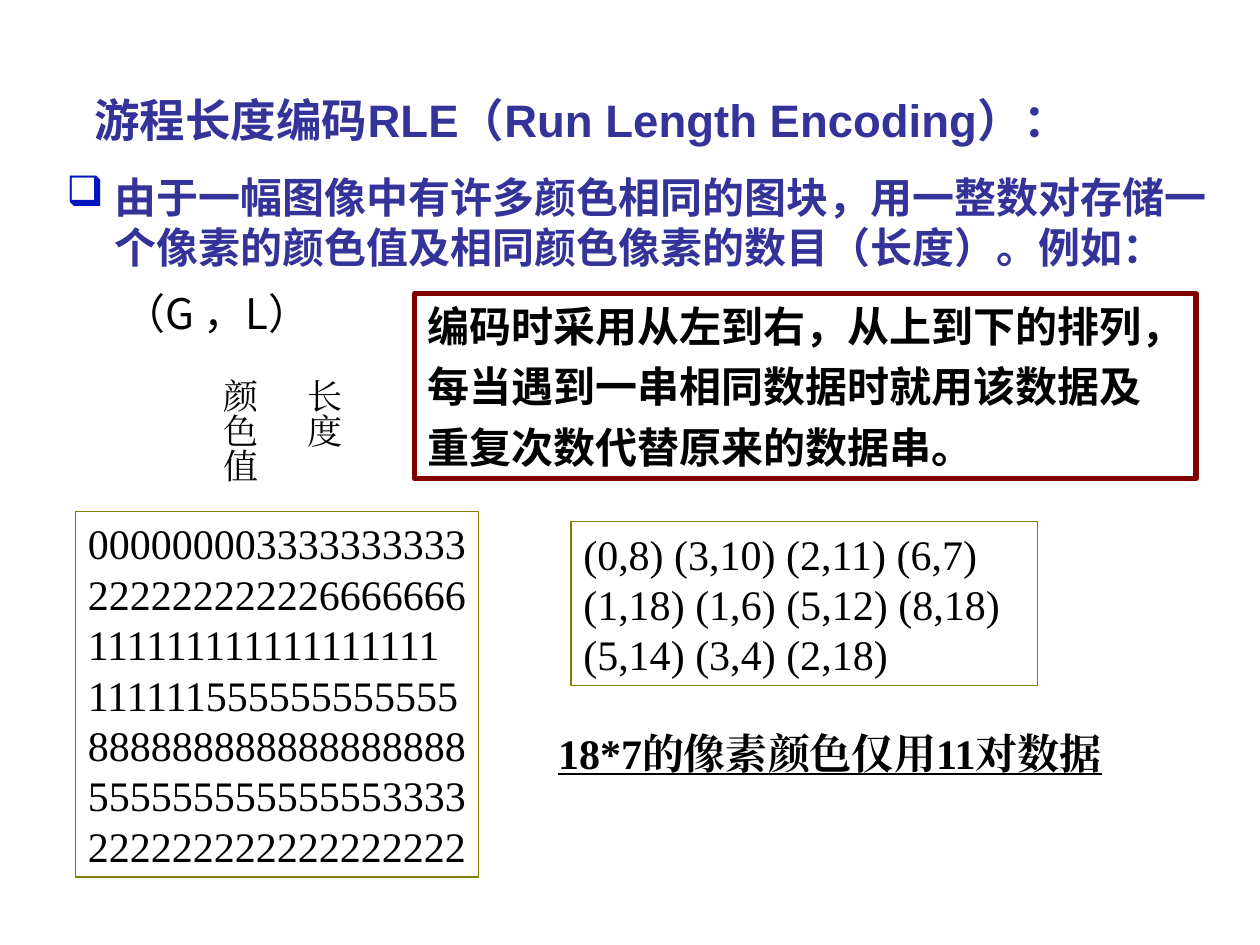
from lxml.etree import SubElement
from pptx import Presentation
from pptx.dml.color import RGBColor
from pptx.enum.shapes import MSO_SHAPE
from pptx.oxml.ns import qn
from pptx.util import Cm, Pt

NAVY, BLACK, OLIVE, MAROON = "333399", "000000", "808000", "800000"
SERIF = "Times New Roman"


def color(code):
    return RGBColor.from_string(code)


class Page:
    def __init__(self, slide, size=24, face=SERIF):
        self.slide, self.size, self.face = slide, size, face

    def style(self, para, ink=BLACK, bold=False, face=None, size=None, line=False):
        """Set the font of a paragraph and the East Asian face of its runs."""
        font = para.font
        font.name, font.size = face or self.face, Pt(size or self.size)
        font.bold, font.underline = bold, line
        font.color.rgb = color(ink)
        for run in para.runs:
            props = run._r.get_or_add_rPr()
            SubElement(props, qn("a:ea"), typeface=font.name)

    def fill(self, shape, lines, gap=0, wrap=False, **look):
        """Write one paragraph per line of text."""
        frame = shape.text_frame
        frame.word_wrap = wrap
        frame.margin_left = frame.margin_right = Cm(0.25)
        frame.margin_top = frame.margin_bottom = Cm(0.13)
        frame.text = "\n".join(lines)
        for i, para in enumerate(frame.paragraphs):
            if i and gap:
                para.space_before = Pt(gap)
            self.style(para, **look)
        return frame

    def text(self, box, lines, **look):
        shape = self.slide.shapes.add_textbox(*map(Cm, box))
        return self.fill(shape, lines, **look)

    def frame(self, box, lines, edge, width, **look):
        """Text in an outlined rectangle."""
        shape = self.slide.shapes.add_shape(MSO_SHAPE.RECTANGLE, *map(Cm, box))
        shape.shadow.inherit = False
        shape.fill.background()
        shape.line.color.rgb = color(edge)
        shape.line.width = Pt(width)
        frame = self.fill(shape, lines, **look)
        for para in frame.paragraphs:
            para.alignment = 1
        return frame

    def bullet(self, para, mark, ink, indent):
        props = para._p.get_or_add_pPr()
        props.set("marL", str(Cm(indent)))
        props.set("indent", str(-Cm(indent)))
        tint = SubElement(props, qn("a:buClr"))
        SubElement(tint, qn("a:srgbClr"), val=ink)
        SubElement(props, qn("a:buChar"), char=mark)


def main():
    deck = Presentation()
    deck.slide_width, deck.slide_height = Cm(25.4), Cm(19.05)
    page = Page(deck.slides.add_slide(deck.slide_layouts[6]))

    # Title
    page.text((1.65, 1.73, 21.03, 1.37), ["游程长度编码RLE（Run Length Encoding）："],
              ink=NAVY, bold=True, face="Arial", size=26)

    # Idea
    idea = page.text((1.09, 3.33, 23.6, 2.3), [""], wrap=True).paragraphs[0]
    idea.text = "由于一幅图像中有许多颜色相同的图块，用一整数对存储一个像素的颜色值及相同颜色像素的数目（长度）。例如："
    idea.line_spacing = Pt(28.6)
    # The paragraph's children must be in order: bullet before font
    props = idea._p.get_or_add_pPr()
    for child in props.findall(qn("a:defRPr")):
        props.remove(child)
    page.bullet(idea, "❑", "0315C3", 0.97)
    page.style(idea, ink=NAVY, bold=True, face="Noto Sans CJK JP")

    # Pair and its labels
    page.text((2.24, 5.67, 6, 1.3), ["（G ，L）"], face="Noto Sans CJK SC")
    label = page.text((4.04, 7.39, 3.05, 2.39), ["长度", "颜色值"], gap=24, size=20)
    label._txBody.bodyPr.set("vert", "eaVert")
    label.margin_left = label.margin_right = Cm(0.13)
    label.margin_top = label.margin_bottom = Cm(0.25)

    # Rule
    page.frame((8.36, 5.92, 15.75, 3.73),
               ["编码时采用从左到右，从上到下的排列，",
                "每当遇到一串相同数据时就用该数据及",
                "重复次数代替原来的数据串。"],
               MAROON, 3, gap=6, bold=True, face="Lato")

    # Pixels and their code
    rows = ["000000003333333333", "222222222226666666", "111111111111111111",
            "111111555555555555", "888888888888888888", "555555555555553333",
            "222222222222222222"]
    page.frame((1.52, 10.31, 8.13, 7.37), rows, OLIVE, 0.75)
    page.frame((11.51, 10.52, 9.4, 3.3),
               ["(0,8) (3,10) (2,11) (6,7)", "(1,18) (1,6) (5,12) (8,18)",
                "(5,14) (3,4) (2,18)"],
               OLIVE, 0.75, wrap=True)

    # Result
    page.text((11, 14.53, 12.12, 1.27), ["18*7的像素颜色仅用11对数据"],
              bold=True, line=True)

    deck.save("out.pptx")


if __name__ == "__main__":
    main()
